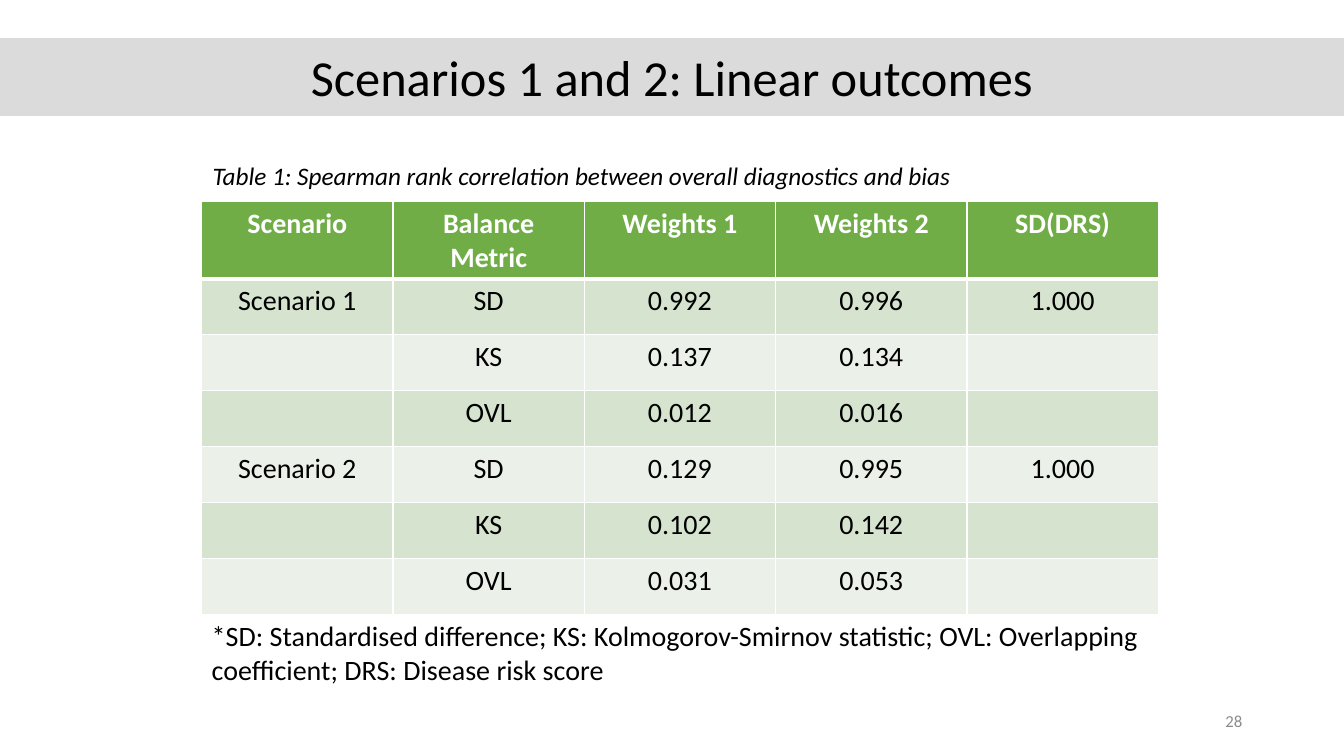
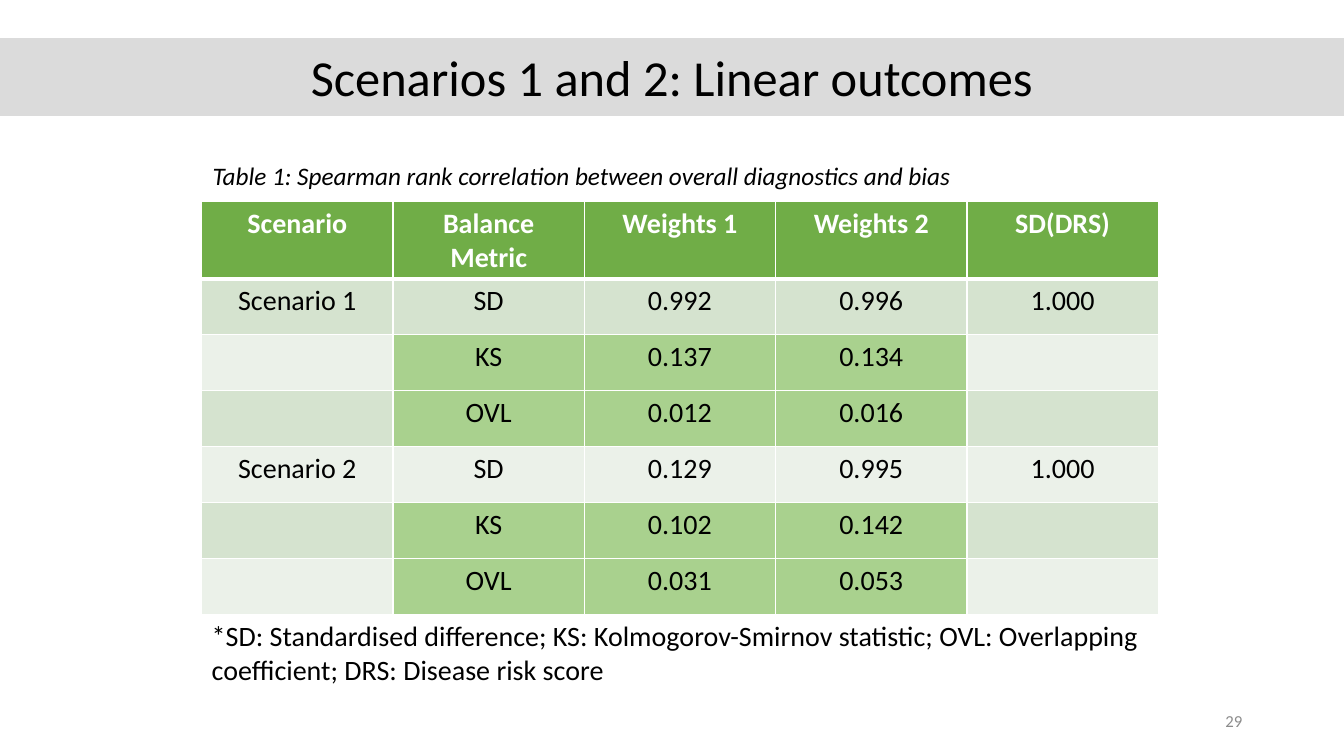
from dataclasses import dataclass

from lxml import etree
from pptx import Presentation
from pptx.dml.color import RGBColor
from pptx.enum.shapes import MSO_SHAPE
from pptx.enum.text import MSO_ANCHOR, PP_ALIGN
from pptx.oxml.ns import qn
from pptx.slide import Slide
from pptx.util import Inches, Pt

RECT = MSO_SHAPE.RECTANGLE
TOP, MIDDLE = MSO_ANCHOR.TOP, MSO_ANCHOR.MIDDLE
LEFT, CENTER, RIGHT = PP_ALIGN.LEFT, PP_ALIGN.CENTER, PP_ALIGN.RIGHT

FONT = "Calibri"
BLACK, WHITE, GREY = "000000", "FFFFFF", "8C8C8C"
BAND = "DBDBDB"
HEADER = "70AD47"
STRIPES = ("D5E3CF", "EBF1E9")
HIGHLIGHT = "A9D18E"

TITLE = "Scenarios 1 and 2: Linear outcomes"
CAPTION = "Table 1: Spearman rank correlation between overall diagnostics and bias"
FOOTNOTE = ("*SD: Standardised difference; KS: Kolmogorov-Smirnov statistic; "
            "OVL: Overlapping coefficient; DRS: Disease risk score")
ROWS = (
    ("Scenario", "Balance Metric", "Weights 1", "Weights 2", "SD(DRS)"),
    ("Scenario 1", "SD", "0.992", "0.996", "1.000"),
    ("", "KS", "0.137", "0.134", ""),
    ("", "OVL", "0.012", "0.016", ""),
    ("Scenario 2", "SD", "0.129", "0.995", "1.000"),
    ("", "KS", "0.102", "0.142", ""),
    ("", "OVL", "0.031", "0.053", ""),
)


@dataclass(frozen=True)
class TextStyle:
    size: int
    color: str = BLACK
    align: PP_ALIGN = LEFT
    bold: bool = False
    italic: bool = False


@dataclass(frozen=True)
class ResultSlide:
    number: int
    highlighted: tuple[str, ...] = ()


TITLE_STYLE = TextStyle(36, align=CENTER)
CAPTION_STYLE = TextStyle(18, italic=True)
NUMBER_STYLE = TextStyle(12, GREY, RIGHT)
HEADER_STYLE = TextStyle(20, WHITE, CENTER, bold=True)
BODY_STYLE = TextStyle(20, align=CENTER)
NOTE_STYLE = TextStyle(20)

SLIDES = (ResultSlide(28), ResultSlide(29, ("KS", "OVL")))


def rgb(color: str) -> RGBColor:
    return RGBColor.from_string(color)


def set_text(tf, text: str, style: TextStyle) -> None:
    tf.text = text
    p = tf.paragraphs[0]
    p.alignment = style.align
    for r in p.runs:
        r.font.name = FONT
        r.font.size = Pt(style.size)
        r.font.bold = style.bold
        r.font.italic = style.italic
        r.font.color.rgb = rgb(style.color)


def add_text(s: Slide, left: float, top: float, width: float, height: float,
             text: str, style: TextStyle, anchor: MSO_ANCHOR = TOP) -> None:
    sp = s.shapes.add_textbox(Inches(left), Inches(top), Inches(width), Inches(height))
    sp.text_frame.word_wrap = True
    sp.text_frame.vertical_anchor = anchor
    set_text(sp.text_frame, text, style)


def add_title(s: Slide) -> None:
    sp = s.shapes.add_shape(RECT, 0, Inches(0.38), Inches(13.33), Inches(0.76))
    sp.shadow.inherit = False
    sp.fill.solid()
    sp.fill.fore_color.rgb = rgb(BAND)
    sp.line.color.rgb = rgb(BAND)
    sp.line.width = Pt(1)
    sp.text_frame.vertical_anchor = MIDDLE
    set_text(sp.text_frame, TITLE, TITLE_STYLE)


def set_borders(cell, top: int = 1, bottom: int = 1) -> None:
    tc_pr = cell._tc.get_or_add_tcPr()
    for side, width in (("L", 1), ("R", 1), ("T", top), ("B", bottom)):
        ln = etree.SubElement(tc_pr, qn(f"a:ln{side}"), w=str(Pt(width)))
        fill = etree.SubElement(ln, qn("a:solidFill"))
        etree.SubElement(fill, qn("a:srgbClr"), val=WHITE)


def cell_fill(row: int, col: int, highlighted: tuple[str, ...]) -> str:
    if row == 0:
        return HEADER
    if 1 <= col <= 3 and ROWS[row][1] in highlighted:
        return HIGHLIGHT
    return STRIPES[(row - 1) % 2]


def add_results(s: Slide, highlighted: tuple[str, ...]) -> None:
    table = s.shapes.add_table(len(ROWS) + 1, len(ROWS[0]), Inches(2), Inches(2),
                               Inches(9.49), Inches(4.44)).table
    table.first_row = True
    table.horz_banding = False
    for i, row in enumerate(ROWS):
        for j, text in enumerate(row):
            cell = table.cell(i, j)
            set_borders(cell, top=3 if i == 1 else 1, bottom=3 if i == 0 else 1)
            cell.fill.solid()
            cell.fill.fore_color.rgb = rgb(cell_fill(i, j, highlighted))
            set_text(cell.text_frame, text, BODY_STYLE if i else HEADER_STYLE)
    note = table.cell(len(ROWS), 0)
    note.merge(table.cell(len(ROWS), len(ROWS[0]) - 1))
    set_borders(note)
    note.fill.background()
    set_text(note.text_frame, FOOTNOTE, NOTE_STYLE)


def add_slide(prs, content: ResultSlide) -> None:
    s = prs.slides.add_slide(prs.slide_layouts[6])
    add_text(s, 9.42, 6.95, 3, 0.4, str(content.number), NUMBER_STYLE, MIDDLE)
    add_title(s)
    add_results(s, content.highlighted)
    add_text(s, 2.01, 1.54, 9.49, 0.4, CAPTION, CAPTION_STYLE)


def main() -> None:
    prs = Presentation()
    prs.slide_width, prs.slide_height = Inches(13.33), Inches(7.5)
    for content in SLIDES:
        add_slide(prs, content)
    prs.save("out.pptx")


if __name__ == "__main__":
    main()
